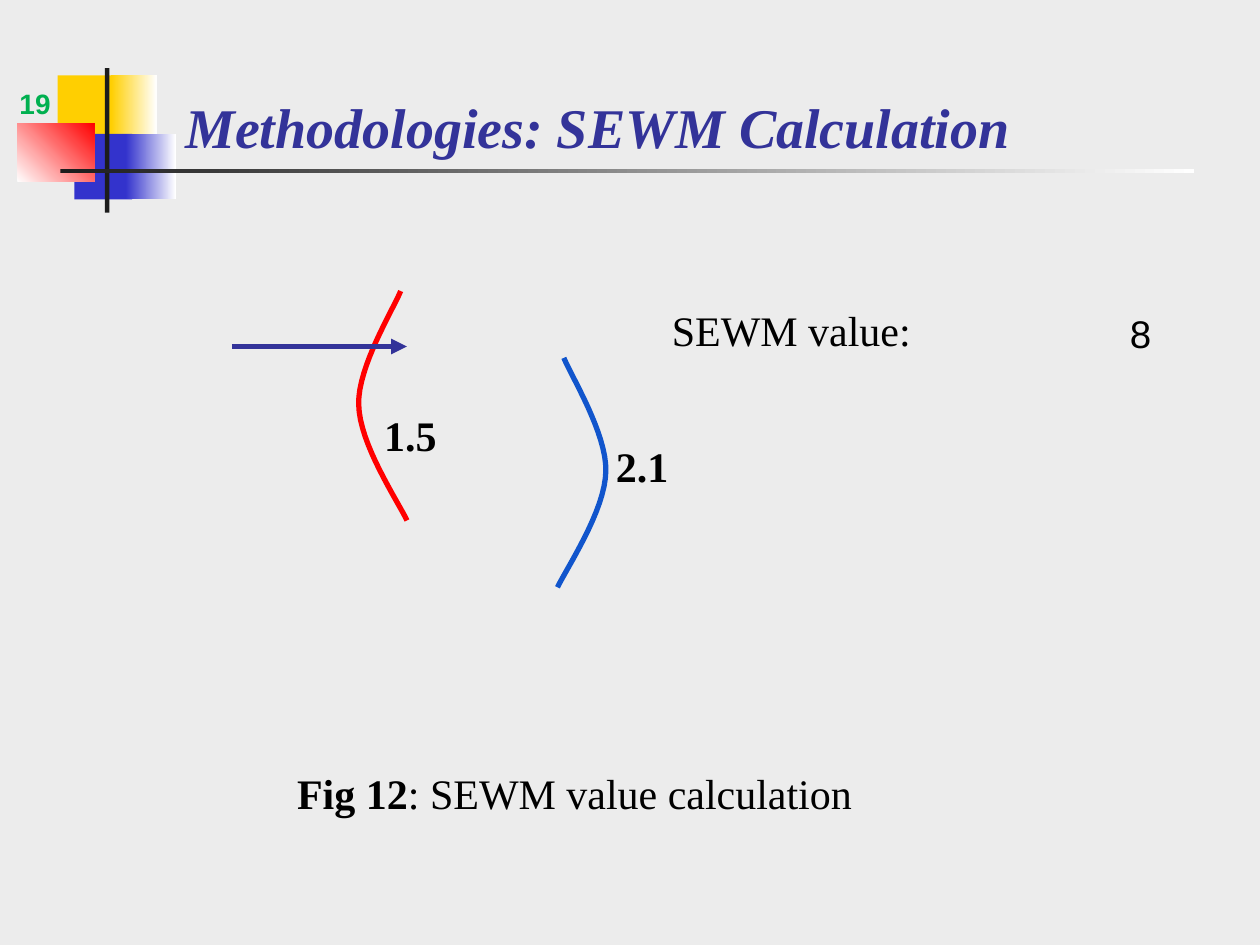
"""Build the SEWM calculation slide."""
import pptx
import pptx.dml.color
import pptx.enum.shapes
import pptx.enum.text
import pptx.oxml
import pptx.oxml.ns
import pptx.util

Pt = pptx.util.Pt
ANCHOR = pptx.enum.text.MSO_ANCHOR
ALIGN = pptx.enum.text.PP_ALIGN
SERIF, SANS = "Times New Roman", "Arial"
COLORS = {
    "background": "ECECEC", "yellow": "FFCF01", "blue": "3333CC", "red": "FF0000",
    "white": "FFFFFF", "dark": "1C1C1C", "title": "333399", "number": "00B050",
    "curve": "1155CC", "black": "000000",
}


def rgb(name):
    return pptx.dml.color.RGBColor.from_string(COLORS[name])


def write(shape, box, runs, size, font=SERIF, color="black", inset=7.2,
          anchor=ANCHOR.TOP, align=ALIGN.LEFT, wrap=True, italic=False):
    shape.left, shape.top, shape.width, shape.height = map(Pt, box)
    frame = shape.text_frame
    frame.word_wrap = wrap
    frame.auto_size = pptx.enum.text.MSO_AUTO_SIZE.NONE
    frame.vertical_anchor = anchor
    frame.margin_left = frame.margin_right = Pt(7.2)
    frame.margin_top = frame.margin_bottom = Pt(inset)
    paragraph = frame.paragraphs[0]
    paragraph.alignment = align
    for text, bold in runs:
        run = paragraph.add_run()
        run.text = text
        run.font.name, run.font.size = font, Pt(size)
        run.font.bold, run.font.italic = bold, italic
        run.font.color.rgb = rgb(color)


deck = pptx.Presentation()
deck.slide_width, deck.slide_height = Pt(720), Pt(540)
slide = deck.slides.add_slide(deck.slide_layouts[5])
slide.background.fill.solid()
slide.background.fill.fore_color.rgb = rgb("background")
shapes = slide.shapes

ornaments = [
    ((33, 43, 34.5, 37.5), ["yellow"], 0),
    ((63.5, 43, 26, 37.5), ["yellow", "white"], 0),
    ((42.5, 76.5, 33, 37.5), ["blue"], 0),
    ((72, 76.5, 28.5, 37.5), ["blue", "white"], 0),
    ((10, 70.5, 44, 33.5), ["white", "red"], 45),
    ((60, 39, 2.5, 82.5), ["dark"], 0),
    ((34.5, 96.5, 648, 2.5), ["dark", "white"], 0),
]
for box, fills, angle in ornaments:
    ornament = shapes.add_shape(pptx.enum.shapes.MSO_SHAPE.RECTANGLE, *map(Pt, box))
    ornament.shadow.inherit = False
    ornament.line.fill.background()
    if len(fills) == 1:
        ornament.fill.solid()
        ornament.fill.fore_color.rgb = rgb(fills[0])
    else:
        ornament.fill.gradient()
        ornament.fill.gradient_angle = angle
        for stop, name, position in zip(ornament.fill.gradient_stops, fills, (0, 1)):
            stop.color.rgb = rgb(name)
            stop.position = position

write(shapes.title, (90.7, 31.7, 613.4, 63.4), [(" Methodologies: SEWM Calculation", True)],
      32, color="title", inset=3.6, anchor=ANCHOR.BOTTOM, italic=True)
write(shapes.add_textbox(0, 0, 0, 0), (0, 48.2, 36, 23.8), [("19", True)], 16, SANS,
      "number", inset=3.6, anchor=ANCHOR.BOTTOM, align=ALIGN.RIGHT)

bends = [
    [(229, 166.3), (224.6, 177), (204.5, 209.5), (205, 231)],
    [(205, 231), (205.2, 253.4), (227.5, 286.6), (232.6, 297.4)],
]
steps = 16
red_points = []
for bend in bends:
    for step in range(steps + 1):
        t = step / steps
        weights = ((1 - t) ** 3, 3 * t * (1 - t) ** 2, 3 * t ** 2 * (1 - t), t ** 3)
        red_points.append([sum(w * point[axis] for w, point in zip(weights, bend))
                           for axis in (0, 1)])
blue_points = [(551.2 - x, y + 38.2) for x, y in red_points]
for points, color in ((blue_points, "curve"), (red_points, "red")):
    outline = [(Pt(x), Pt(y)) for x, y in points]
    builder = shapes.build_freeform(*outline[0])
    builder.add_line_segments(outline[1:], close=False)
    curve = builder.convert_to_shape()
    curve.shadow.inherit = False
    curve.fill.background()
    curve.line.color.rgb = rgb(color)
    curve.line.width = Pt(3)

arrow = shapes.add_connector(pptx.enum.shapes.MSO_CONNECTOR.STRAIGHT,
                             Pt(132.5), Pt(198), Pt(232.5), Pt(198))
arrow.line.color.rgb = rgb("title")
arrow.line.width = Pt(3)
head = pptx.oxml.parse_xml(
    '<a:tailEnd %s type="triangle"/>' % pptx.oxml.ns.nsdecls("a"))
arrow.line._get_or_add_ln().append(head)
arrow._element.spPr.append(
    pptx.oxml.parse_xml("<a:effectLst %s/>" % pptx.oxml.ns.nsdecls("a")))

labels = [
    ((212.4, 226.8, 56.2, 43.2), [("1.5", True)]),
    ((344.9, 244.8, 56.2, 43.2), [("2.1", True)]),
    ((370.8, 167, 311, 67.7), [(" SEWM value:", False)]),
    ((162.7, 431.3, 393.8, 56.9), [("Fig 12", True), (": SEWM value calculation", False)]),
]
for box, runs in labels:
    write(shapes.add_textbox(0, 0, 0, 0), box, runs, 24)
write(shapes.add_textbox(0, 0, 0, 0), (638.6, 173.5, 26.6, 33.8), [("8", False)], 22,
      SANS, inset=3.6, wrap=False)

deck.save("out.pptx")
